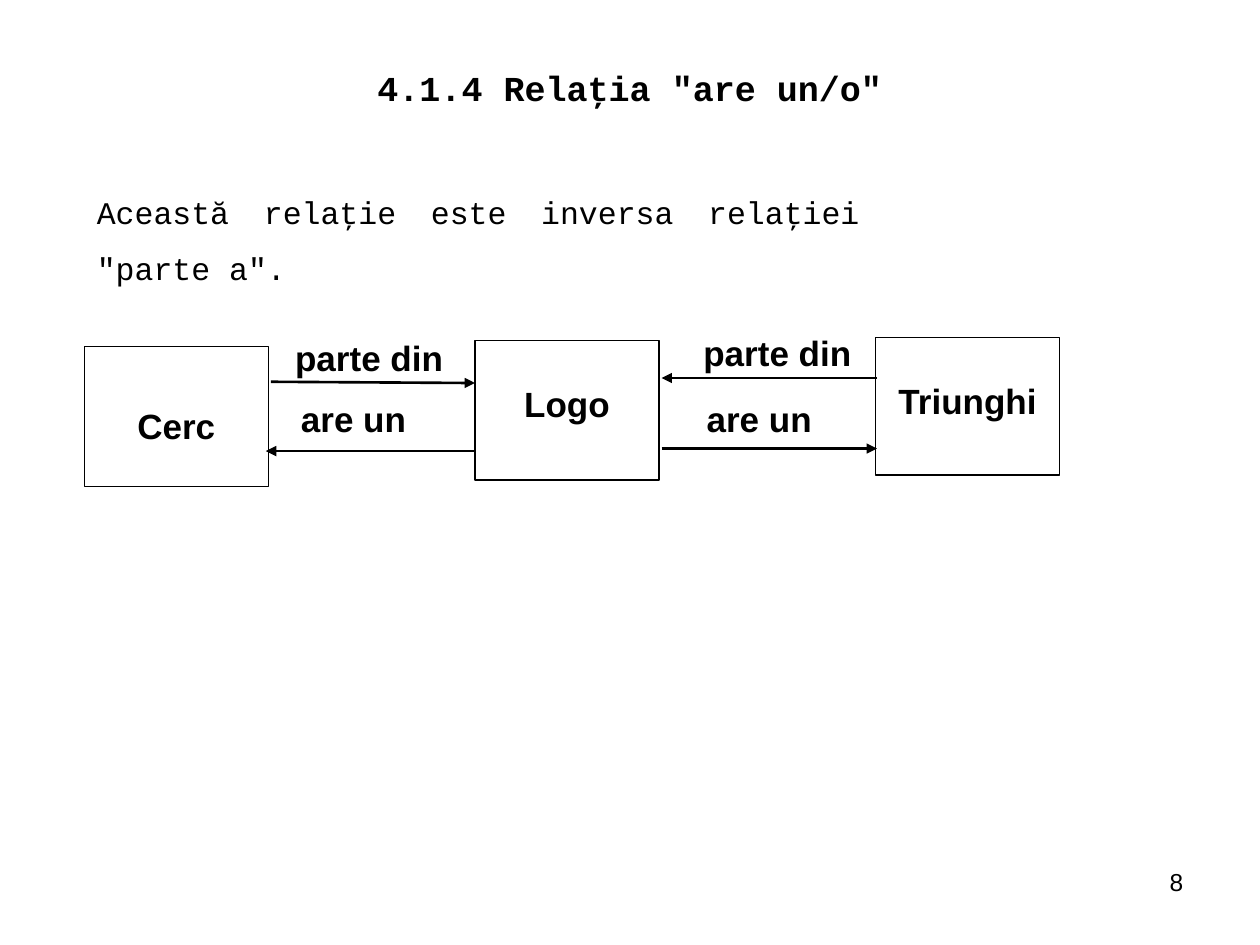
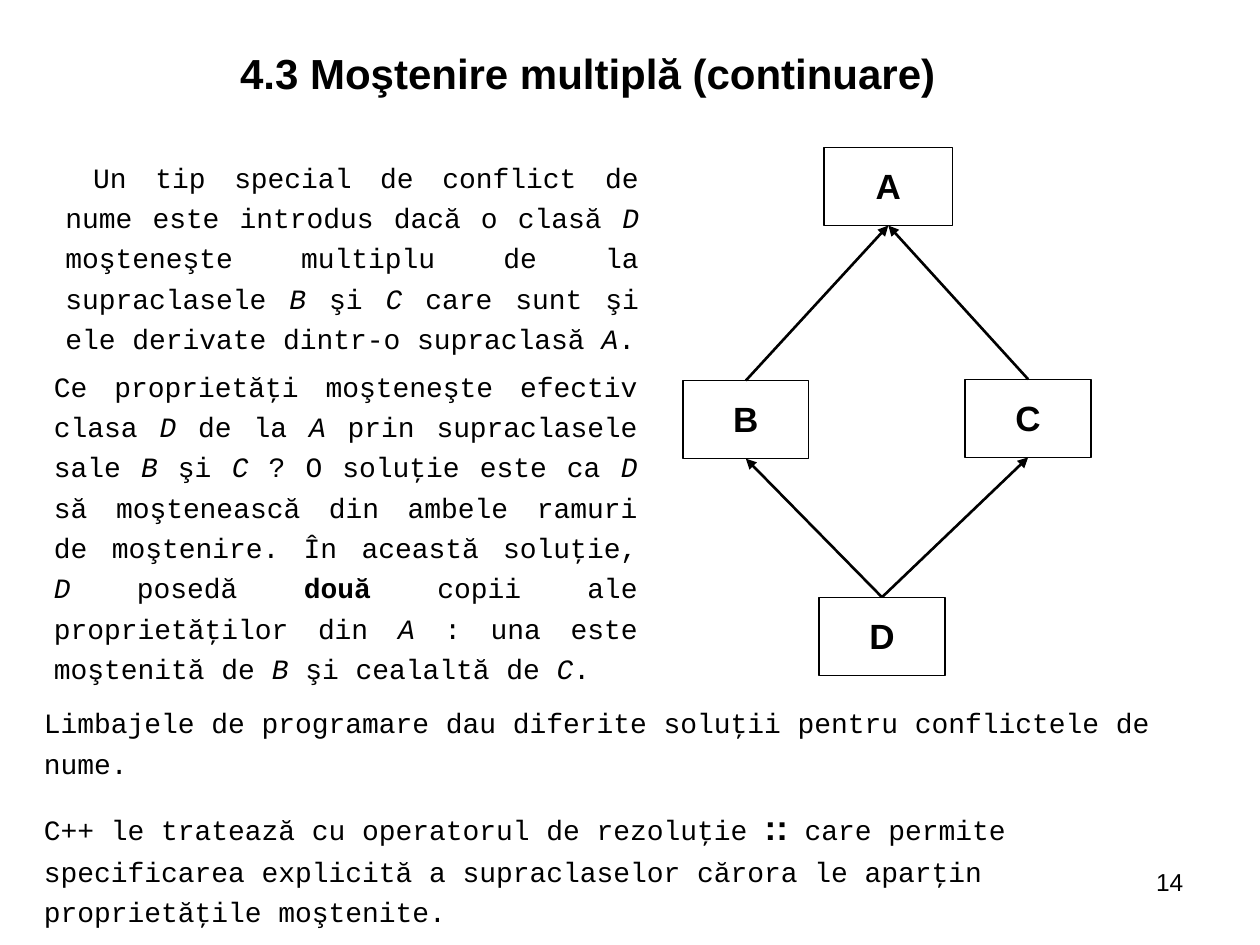
from lxml import etree
from pptx import Presentation
from pptx.dml.color import RGBColor
from pptx.enum.shapes import MSO_CONNECTOR, MSO_SHAPE
from pptx.enum.text import MSO_ANCHOR as ANCHOR, MSO_AUTO_SIZE as FIT, PP_ALIGN as ALIGN
from pptx.oxml.ns import qn
from pptx.util import Inches, Pt

BLACK = RGBColor(0, 0, 0)
WHITE = RGBColor(255, 255, 255)
SANS, MONO = "Arial", "Courier New"
TOP, BOTTOM = 0, 2
TITLE_ONLY = 5

# In running text, _..._ is italic and *...* is bold.
RELATION = {
    "title": '4.1.4 Relaţia "are un/o"',
    "text": 'Această relaţie este inversa relaţiei "parte a".',
    # name, left, top, width, height, vertical shift of the name
    "boxes": [
        ("Cerc", 0.67, 2.75, 1.46, 1.11, 0.07),
        ("Logo", 3.77, 2.7, 1.46, 1.11, -0.05),
        ("Triunghi", 6.95, 2.68, 1.46, 1.09, -0.05),
    ],
    # from x, y, to x, y
    "arrows": [
        (2.15, 3.03, 3.77, 3.04),
        (6.96, 3, 5.25, 3),
        (3.77, 3.58, 2.11, 3.58),
        (5.25, 3.56, 6.96, 3.56),
    ],
    "labels": [
        ("parte din", 2.2, 2.62, ALIGN.CENTER),
        ("parte din", 5.44, 2.58, ALIGN.CENTER),
        ("are un", 2.29, 3.11, ALIGN.LEFT),
        ("are un", 5.51, 3.11, ALIGN.LEFT),
    ],
    "number": "8",
}

INHERITANCE = {
    "title": "4.3 Moştenire multiplă (continuare)",
    "conflict": "Un tip special de conflict de nume este introdus dacă o clasă _D_ "
                "moşteneşte multiplu de la supraclasele _B_ şi _C_ care sunt şi ele "
                "derivate dintr-o supraclasă _A_.",
    "solution": "Ce proprietăţi moşteneşte efectiv clasa _D_ de la _A_ prin "
                "supraclasele sale _B_ şi _C_ ? O soluţie este ca _D_ să moştenească "
                "din ambele ramuri de moştenire. În această soluţie, _D_ posedă *două* "
                "copii ale proprietăţilor din _A_ : una este moştenită de _B_ şi "
                "cealaltă de _C_.",
    "languages": [
        "Limbajele de programare dau diferite soluţii pentru conflictele de nume.",
        "C++ le tratează cu operatorul de rezoluţie *::* care permite specificarea "
        "explicită a supraclaselor cărora le aparţin proprietăţile moştenite.",
    ],
    "classes": [
        ("A", 6.54, 1.17, 1.02),
        ("B", 5.42, 3.02, 1),
        ("C", 7.66, 3.01, 1),
        ("D", 6.5, 4.74, 1),
    ],
    "derived": [("D", "B"), ("D", "C"), ("B", "A"), ("C", "A")],
    "number": "14",
}


def write(sp, text, size=20, font=SANS, bold=False, align=ALIGN.LEFT, anchor=ANCHOR.TOP,
          spacing=None, before=0, indent=0, shift=0, fit=FIT.NONE, strong=(SANS, 20)):
    """Fill a shape; strong is the font and size of the parts in asterisks."""
    tf = sp.text_frame
    tf.word_wrap, tf.auto_size, tf.vertical_anchor = True, fit, anchor
    tf.margin_top = Inches(0.05 + max(2 * shift, 0))
    tf.margin_bottom = Inches(0.05 + max(-2 * shift, 0))
    for n, line in enumerate([text] if isinstance(text, str) else text):
        p = tf.add_paragraph() if n else tf.paragraphs[0]
        p.alignment, p.space_before = align, Pt(before)
        if spacing:
            p.line_spacing = spacing
        if indent:
            p._p.get_or_add_pPr().set("indent", str(Inches(indent)))
        for i, part in enumerate(line.split("*")):
            for j, piece in enumerate(part.split("_")):
                if piece:
                    r = p.add_run()
                    r.text = piece
                    name, points = strong if i % 2 else (font, size)
                    r.font.name, r.font.size = name, Pt(points)
                    r.font.bold, r.font.italic = bold or i % 2 == 1, j % 2 == 1
                    r.font.color.rgb = BLACK
    return sp


def add_text(slide, text, at, **fmt):
    return write(slide.shapes.add_textbox(*map(Inches, at)), text, **fmt)


def add_box(slide, name, at, shift):
    sp = slide.shapes.add_shape(MSO_SHAPE.RECTANGLE, *map(Inches, at))
    sp.shadow.inherit = False
    sp.fill.solid()
    sp.fill.fore_color.rgb = WHITE
    sp.line.color.rgb = BLACK
    sp.line.width = Pt(0.75)
    return write(sp, name, bold=True, align=ALIGN.CENTER, anchor=ANCHOR.MIDDLE, shift=shift)


def add_arrow(slide, ends=(0, 0, 0, 0)):
    line = slide.shapes.add_connector(MSO_CONNECTOR.STRAIGHT, *map(Inches, ends))
    line.line.color.rgb = BLACK
    line.line.width = Pt(1.5)
    etree.SubElement(line.line._get_or_add_ln(), qn("a:tailEnd"), type="triangle")
    etree.SubElement(line._element.spPr, qn("a:effectLst"))
    return line


def add_slide(prs, content, title_at, **title_fmt):
    """Add a slide with its title and page number."""
    slide = prs.slides.add_slide(prs.slide_layouts[TITLE_ONLY])
    title = slide.shapes.title
    title.left, title.top, title.width, title.height = map(Inches, title_at)
    write(title, content["title"], bold=True, align=ALIGN.CENTER,
          anchor=ANCHOR.BOTTOM, **title_fmt)
    add_text(slide, content["number"], (7.17, 6.83, 2.32, 0.52), size=14, align=ALIGN.RIGHT)
    return slide


def add_relation_slide(prs):
    slide = add_slide(prs, RELATION, (0.5, 0.33, 9, 0.58), font=MONO)
    add_text(slide, RELATION["text"], (0.67, 1.33, 6.25, 1.1), size=18, font=MONO,
             align=ALIGN.JUSTIFY, spacing=1.5, fit=FIT.SHAPE_TO_FIT_TEXT)
    for name, *at, shift in RELATION["boxes"]:
        add_box(slide, name, at, shift)
    for ends in RELATION["arrows"]:
        add_arrow(slide, ends)
    for label, left, top, align in RELATION["labels"]:
        add_text(slide, label, (left, top, 1.46, 0.43), bold=True, align=align,
                 anchor=ANCHOR.MIDDLE)


def add_inheritance_slide(prs):
    slide = add_slide(prs, INHERITANCE, (0.83, 0.33, 7.67, 0.5), size=24)
    prose = dict(size=16, font=MONO, spacing=1.2, before=10, fit=FIT.SHAPE_TO_FIT_TEXT)
    add_text(slide, INHERITANCE["conflict"], (0.42, 1.17, 4.75, 1.75),
             align=ALIGN.JUSTIFY, indent=0.22, **prose)
    add_text(slide, INHERITANCE["solution"], (0.33, 2.83, 4.83, 2.7),
             align=ALIGN.JUSTIFY, strong=(MONO, 16), **prose)
    add_text(slide, INHERITANCE["languages"], (0.25, 5.5, 9.42, 1.95), **prose)
    boxes = {name: add_box(slide, name, (left, top, width, 0.62), -0.01)
             for name, left, top, width in INHERITANCE["classes"]}
    for child, parent in INHERITANCE["derived"]:
        arrow = add_arrow(slide)
        arrow.begin_connect(boxes[child], TOP)
        arrow.end_connect(boxes[parent], BOTTOM)


def main():
    prs = Presentation()
    prs.slide_width, prs.slide_height = Inches(10), Inches(7.5)
    add_relation_slide(prs)
    add_inheritance_slide(prs)
    prs.save("out.pptx")


if __name__ == "__main__":
    main()
